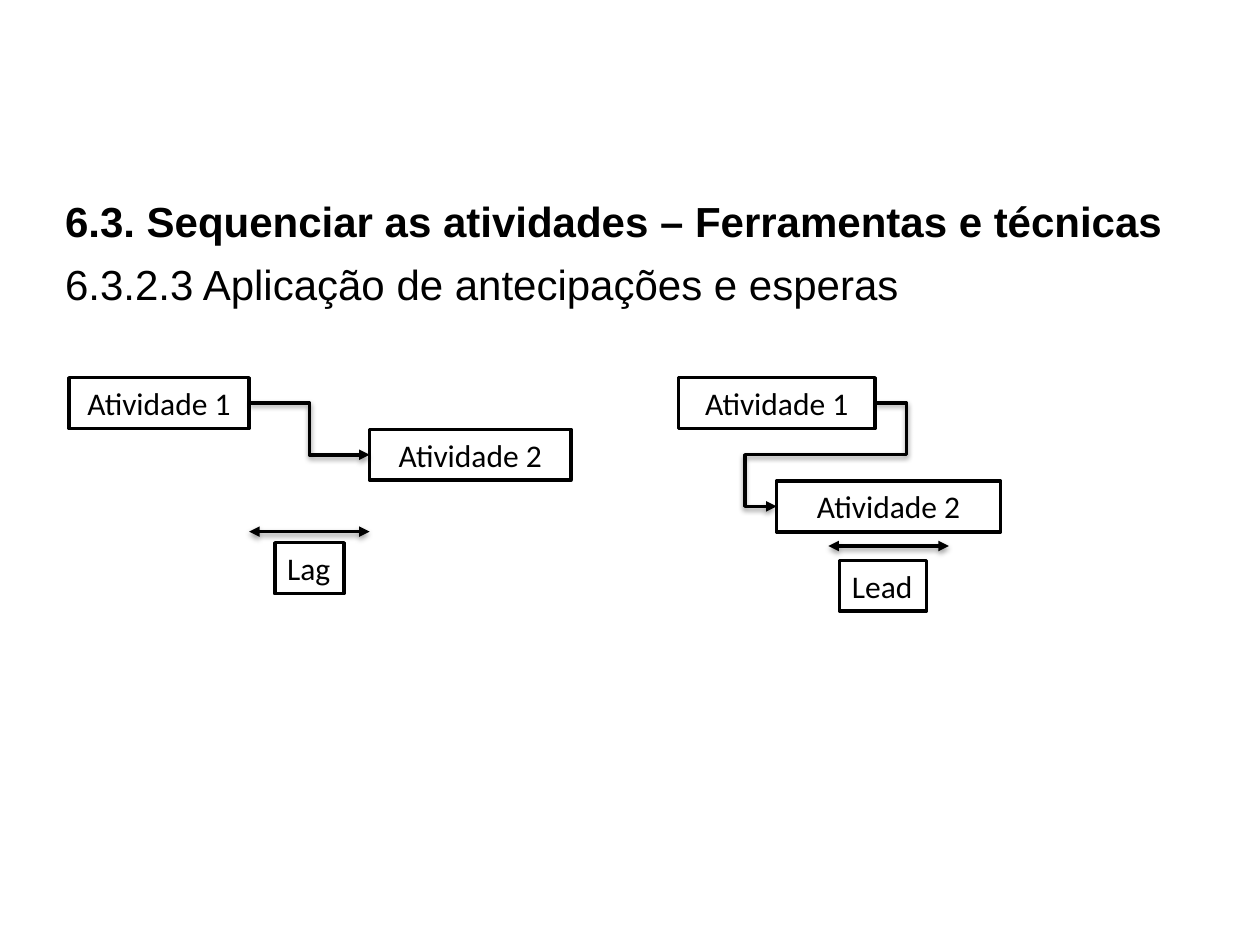
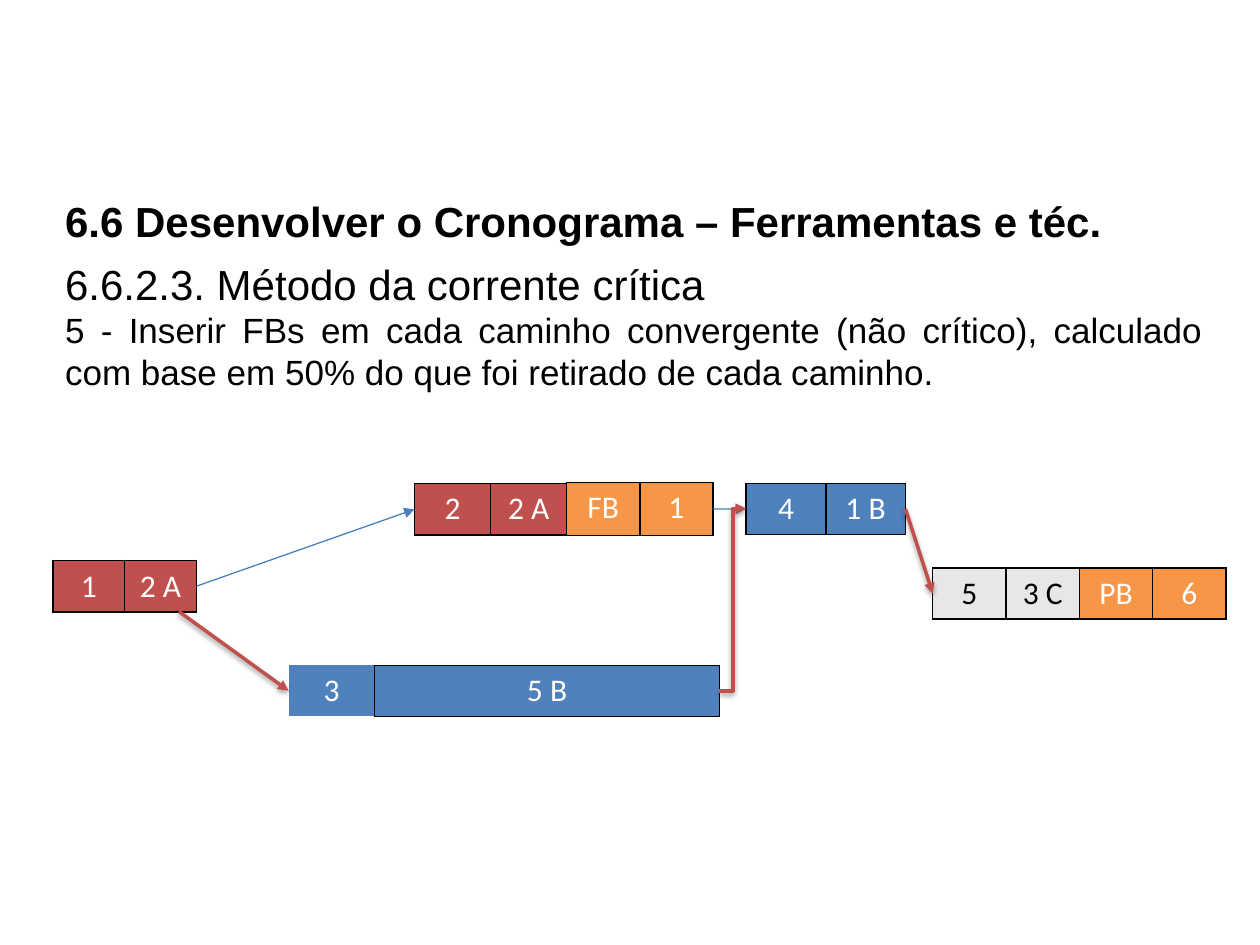
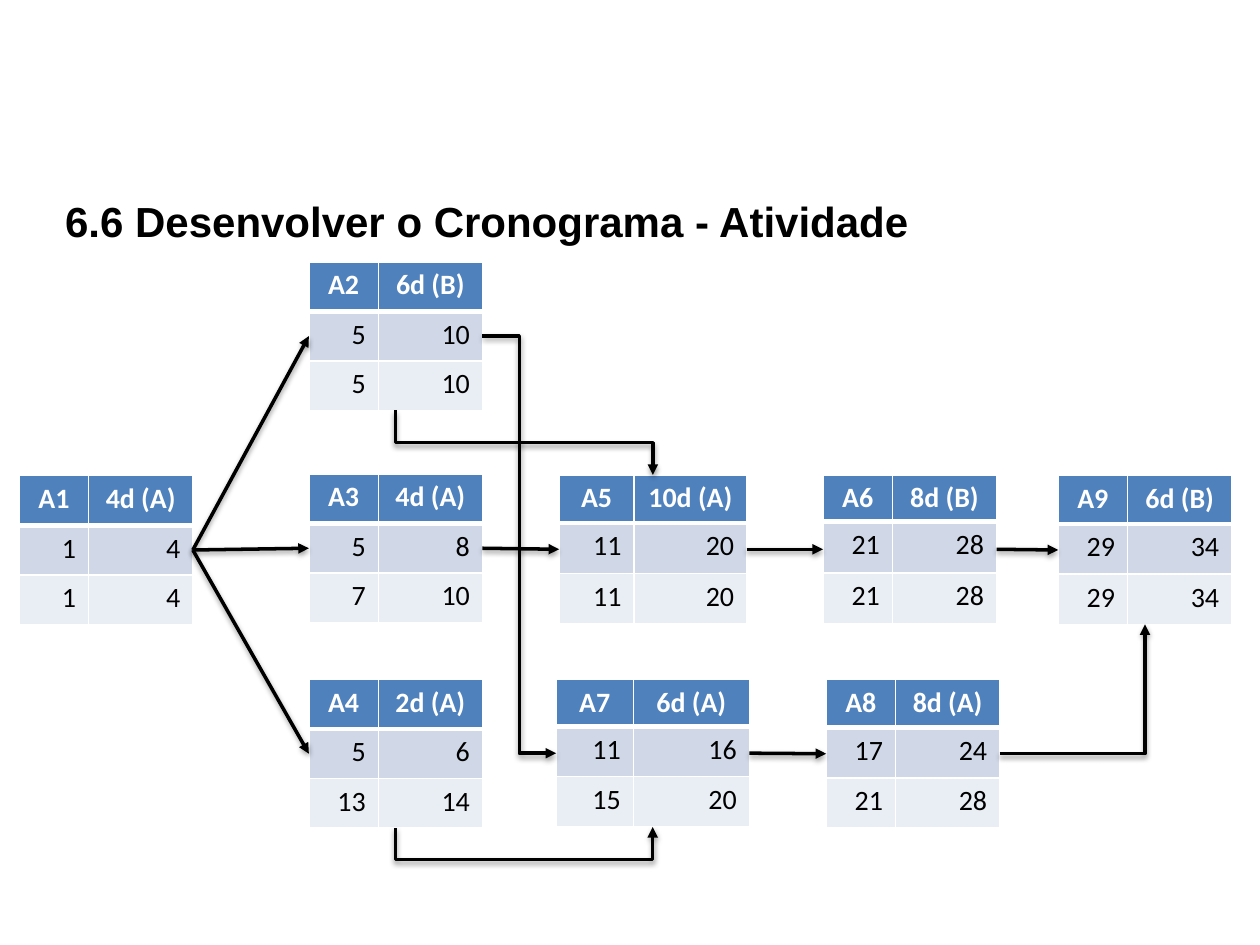
from dataclasses import dataclass

import lxml.etree
import pptx
import pptx.dml.color
import pptx.enum.shapes
import pptx.enum.text
import pptx.oxml
import pptx.oxml.ns
import pptx.util

Pt = pptx.util.Pt
qn = pptx.oxml.ns.qn
ALIGN = pptx.enum.text.PP_ALIGN
ANCHOR = pptx.enum.text.MSO_ANCHOR
CONNECTOR = pptx.enum.shapes.MSO_CONNECTOR
Point = tuple[float, float]


# Theme: colours, fonts and type sizes
@dataclass(frozen=True)
class Theme:
    black: str = "000000"
    white: str = "FFFFFF"
    red: str = "C0504D"
    blue: str = "4F81BD"
    thin_blue: str = "4B7EBC"
    orange: str = "F79646"
    grey: str = "E7E7E7"
    early_row: str = "D0D8E8"
    late_row: str = "E9EDF4"
    heading_font: str = "Arial"
    diagram_font: str = "Calibri"
    title_size: float = 24
    detail_size: float = 20
    label_size: float = 18
    network_size: float = 16


THEME = Theme()


# Repeated elements
@dataclass(frozen=True)
class Area:
    left: float
    top: float
    width: float
    height: float

    @property
    def west(self) -> Point:
        return self.left, self.top + self.height / 2

    @property
    def east(self) -> Point:
        return self.left + self.width, self.top + self.height / 2

    @property
    def north(self) -> Point:
        return self.left + self.width / 2, self.top

    @property
    def south(self) -> Point:
        return self.left + self.width / 2, self.top + self.height


@dataclass(frozen=True)
class Box:
    label: str
    area: Area
    wrap: bool = True


@dataclass(frozen=True)
class Bar:
    area: Area
    labels: tuple[str, str]
    fill: str
    first_share: float = 0.5
    ink: str = THEME.white
    open_start: bool = False


@dataclass(frozen=True)
class Activity:
    area: Area
    name: str
    duration: str
    early: tuple[int, int]
    late: tuple[int, int]
    header: float = 28.3


@dataclass(frozen=True)
class Stroke:
    color: str
    width: float = 2
    shadow: bool = True
    both_ends: bool = False


BLACK_ARROW = Stroke(THEME.black)
SPAN_ARROW = Stroke(THEME.black, both_ends=True)
CRITICAL = Stroke(THEME.red)
FEEDING = Stroke(THEME.thin_blue, 0.75, shadow=False)


def rgb(color: str) -> pptx.dml.color.RGBColor:
    return pptx.dml.color.RGBColor.from_string(color)


def style(paragraph, font: str, size: float, color: str, align, bold: bool = False) -> None:
    paragraph.alignment = align
    paragraph.font.name = font
    paragraph.font.size = Pt(size)
    paragraph.font.bold = bold
    paragraph.font.color.rgb = rgb(color)


def place(shape, area: Area) -> None:
    shape.left, shape.top = Pt(area.left), Pt(area.top)
    shape.width, shape.height = Pt(area.width), Pt(area.height)


# Title and body placeholders
def start_slide(deck, title: str, body: tuple[str, ...] = (), body_height: float = 36):
    slide = deck.slides.add_slide(deck.slide_layouts[1 if body else 5])
    heading = slide.shapes.title
    place(heading, Area(30, 108, 664.6, 36))
    frame = heading.text_frame
    frame.text = title
    frame.word_wrap = True
    frame.auto_size = pptx.enum.text.MSO_AUTO_SIZE.NONE
    frame.vertical_anchor = ANCHOR.MIDDLE
    style(frame.paragraphs[0], THEME.heading_font, THEME.title_size, THEME.black, ALIGN.LEFT, True)
    if body:
        text = slide.placeholders[1]
        place(text, Area(30, 144, 664.6, body_height))
        text.text_frame.text = "\n".join(body)
        text.text_frame.auto_size = pptx.enum.text.MSO_AUTO_SIZE.NONE
        for paragraph, size in zip(text.text_frame.paragraphs, (THEME.title_size, THEME.detail_size)):
            paragraph.space_before = Pt(0)
            properties = paragraph._p.get_or_add_pPr()
            properties.set("marL", "0")
            properties.set("indent", "0")
            lxml.etree.SubElement(properties, qn("a:buNone"))
            style(paragraph, THEME.heading_font, size, THEME.black, ALIGN.JUSTIFY)
    return slide


# Connectors
def finish_line(line, stroke: Stroke) -> None:
    line.line.color.rgb = rgb(stroke.color)
    line.line.width = Pt(stroke.width)
    ends = ("a:headEnd", "a:tailEnd") if stroke.both_ends else ("a:tailEnd",)
    for end in ends:
        lxml.etree.SubElement(line.line._get_or_add_ln(), qn(end), type="triangle")
    effects = lxml.etree.SubElement(line._element.spPr, qn("a:effectLst"))
    if stroke.shadow:
        shadow = lxml.etree.SubElement(
            effects, qn("a:outerShdw"), blurRad=str(Pt(3.1)), dist=str(Pt(1.6)),
            dir="5400000", rotWithShape="0")
        color = lxml.etree.SubElement(shadow, qn("a:srgbClr"), val=THEME.black)
        lxml.etree.SubElement(color, qn("a:alpha"), val="38000")


def connect(slide, start: Point, end: Point, stroke: Stroke, kind=CONNECTOR.STRAIGHT):
    line = slide.shapes.add_connector(kind, *(Pt(value) for value in (*start, *end)))
    finish_line(line, stroke)
    return line


def bend(slide, start: Point, end: Point, stroke: Stroke,
         preset: str = "bentConnector3", turns: tuple[float, ...] = ()):
    line = connect(slide, start, end, stroke, CONNECTOR.ELBOW)
    geometry = line._element.spPr.find(qn("a:prstGeom"))
    geometry.set("prst", preset)
    guides = geometry.find(qn("a:avLst"))
    for number, turn in enumerate(turns, 1):
        lxml.etree.SubElement(guides, qn("a:gd"), name=f"adj{number}",
                              fmla=f"val {round(turn * 100000)}")
    return line


def bend_down(slide, start: Point, end: Point, stroke: Stroke, drop: float) -> None:
    """Leave downwards by drop, cross over, then meet the end vertically."""
    across, down = end[0] - start[0], end[1] - start[1]
    x, y = (start[0] + end[0]) / 2, (start[1] + end[1]) / 2
    line = bend(slide, (x - down / 2, y + across / 2), (x + down / 2, y - across / 2),
                stroke, turns=(drop / down,))
    line._element.spPr.find(qn("a:xfrm")).set("rot", "5400000")


# Boxes and tables
def draw_box(slide, box: Box) -> None:
    shape = slide.shapes.add_shape(pptx.enum.shapes.MSO_SHAPE.RECTANGLE, 0, 0, 0, 0)
    place(shape, box.area)
    shape.shadow.inherit = False
    shape.fill.solid()
    shape.fill.fore_color.rgb = rgb(THEME.white)
    shape.line.color.rgb = rgb(THEME.black)
    shape.line.width = Pt(2)
    shape.text_frame.text = box.label
    shape.text_frame.word_wrap = box.wrap
    style(shape.text_frame.paragraphs[0], THEME.diagram_font, THEME.label_size, THEME.black,
          ALIGN.CENTER if box.wrap else ALIGN.LEFT)


def add_grid(slide, area: Area, first_share: float, heights: tuple[float, ...]):
    table = slide.shapes.add_table(
        len(heights), 2, Pt(area.left), Pt(area.top), Pt(area.width), Pt(area.height)).table
    table.first_row = table.horz_banding = False
    for column, share in zip(table.columns, (first_share, 1 - first_share)):
        column.width = Pt(area.width * share)
    for row, height in zip(table.rows, heights):
        row.height = Pt(height)
    return table


def fill_cell(cell, text: str, fill: str, ink: str, size: float, align, border: str,
              bold: bool = False, bottom: float = 1, sides: str = "LRTB") -> None:
    cell.text = text
    style(cell.text_frame.paragraphs[0], THEME.diagram_font, size, ink, align, bold)
    properties = cell._tc.get_or_add_tcPr()
    for side in "LRTB":
        width = bottom if side == "B" else 1
        edge = lxml.etree.SubElement(properties, qn(f"a:ln{side}"), w=str(Pt(width)))
        if side in sides:
            paint = lxml.etree.SubElement(edge, qn("a:solidFill"))
            lxml.etree.SubElement(paint, qn("a:srgbClr"), val=border)
        else:
            lxml.etree.SubElement(edge, qn("a:noFill"))
    cell.fill.solid()
    cell.fill.fore_color.rgb = rgb(fill)


def draw_bar(slide, bar: Bar) -> None:
    table = add_grid(slide, bar.area, bar.first_share, (bar.area.height,))
    for column, label in enumerate(bar.labels):
        sides = "R" if bar.open_start and column == 0 else "LRTB"
        fill_cell(table.cell(0, column), label, bar.fill, bar.ink, THEME.label_size,
                  ALIGN.CENTER, THEME.black, sides=sides)


def draw_activity(slide, activity: Activity) -> None:
    row_height = (activity.area.height - activity.header) / 2
    table = add_grid(slide, activity.area, 0.4, (activity.header, row_height, row_height))
    table.first_row = True
    rows = ((activity.name, activity.duration), activity.early, activity.late)
    fills = (THEME.blue, THEME.early_row, THEME.late_row)
    for row, (values, fill) in enumerate(zip(rows, fills)):
        header = row == 0
        for column, value in enumerate(values):
            fill_cell(table.cell(row, column), str(value), fill,
                      THEME.white if header else THEME.black, THEME.network_size,
                      ALIGN.CENTER if header else ALIGN.RIGHT, THEME.white,
                      bold=header, bottom=3 if header else 1)


# Slide 1: leads and lags
def leads_and_lags(deck) -> None:
    slide = start_slide(deck, "6.3. Sequenciar as atividades – Ferramentas e técnicas",
                        ("6.3.2.3 Aplicação de antecipações e esperas",))
    height = 29.1
    lag_first = Box("Atividade 1", Area(39.4, 215.8, 103, height))
    lag_second = Box("Atividade 2", Area(211.2, 245.3, 115, height))
    lag = Box("Lag", Area(157, 310.1, 39.6, height), wrap=False)
    lead_first = Box("Atividade 1", Area(387.8, 215.8, 112.2, height))
    lead_second = Box("Atividade 2", Area(443.8, 274.8, 128, height))
    lead = Box("Lead", Area(479.8, 320.2, 49.6, height), wrap=False)
    for box in (lag_first, lag_second, lag, lead_first, lead_second, lead):
        draw_box(slide, box)
    bend(slide, lag_first.area.east, lag_second.area.west, BLACK_ARROW)
    bend(slide, lead_first.area.east, lead_second.area.west, BLACK_ARROW,
         "bentConnector5", (-0.32, 0.5, 1.32))
    for left, y in ((142.4, 303.8), (473.4, 312)):
        connect(slide, (left, y), (left + 68.8, y), SPAN_ARROW)


# Slide 2: critical chain with buffers
def critical_chain(deck) -> None:
    slide = start_slide(
        deck, "6.6 Desenvolver o Cronograma – Ferramentas e téc.",
        ("6.6.2.3. Método da corrente crítica",
         "5 - Inserir FBs em cada caminho convergente (não crítico), calculado com base em "
         "50% do que foi retirado de cada caminho."), 85)
    height = 29.1
    first = Bar(Area(30.2, 320.4, 82.1, height), ("1", "2 A"), THEME.red)
    second = Bar(Area(236.9, 276.3, 87, 29.5), ("2", "2 A"), THEME.red)
    third = Bar(Area(164.9, 380.2, 246.2, height), ("3", "5 B"), THEME.blue, 0.2, open_start=True)
    fourth = Bar(Area(426.4, 276.2, 91, height), ("4", "1 B"), THEME.blue)
    fifth = Bar(Area(533, 324.6, 83.8, height), ("5", "3 C"), THEME.grey, ink=THEME.black)
    project_buffer = Bar(Area(616.8, 324.6, 83.8, height), ("PB", "6"), THEME.orange)
    feeding_buffer = Bar(Area(323.8, 275.8, 83.7, 30.2), ("FB", "1"), THEME.orange)
    for bar in (first, second, fourth, fifth, third, project_buffer, feeding_buffer):
        draw_bar(slide, bar)
    connect(slide, first.area.east, second.area.west, FEEDING)
    connect(slide, feeding_buffer.area.east, fourth.area.west, FEEDING)
    connect(slide, (102.2, 349.4), third.area.west, CRITICAL)
    connect(slide, fourth.area.east, fifth.area.west, CRITICAL)
    bend(slide, third.area.east, fourth.area.west, CRITICAL)


# Slide 3: activity network
def activity_network(deck) -> None:
    slide = start_slide(deck, "6.6 Desenvolver o Cronograma - Atividade")
    width, height = 99.2, 85
    a1 = Activity(Area(11, 271.8, width, height), "A1", "4d (A)", (1, 4), (1, 4))
    a2 = Activity(Area(176.5, 149.6, width, height), "A2", "6d (B)", (5, 10), (5, 10))
    a3 = Activity(Area(176.5, 270.8, width, height), "A3", "4d (A)", (5, 8), (7, 10))
    a4 = Activity(Area(176.5, 388.2, width, height), "A4", "2d (A)", (5, 6), (13, 14))
    a5 = Activity(Area(319.5, 271.4, 107.2, height), "A5", "10d (A)", (11, 20), (11, 20), 27.4)
    a6 = Activity(Area(470.3, 271.4, width, height), "A6", "8d (B)", (21, 28), (21, 28), 26.7)
    a7 = Activity(Area(317.8, 388.2, 110.4, 84.4), "A7", "6d (A)", (11, 16), (15, 20), 26.7)
    a8 = Activity(Area(472.1, 388.2, width, height), "A8", "8d (A)", (17, 24), (21, 28), 27.6)
    a9 = Activity(Area(604.7, 271.8, width, height), "A9", "6d (B)", (29, 34), (29, 34), 27.6)
    for activity in (a1, a2, a3, a4, a5, a6, a7, a8, a9):
        draw_activity(slide, activity)
    for before, after in ((a1, a2), (a1, a3), (a1, a4), (a6, a9), (a7, a8), (a5, a6), (a3, a5)):
        connect(slide, before.area.east, after.area.west, BLACK_ARROW)
    bend(slide, a2.area.east, a7.area.west, BLACK_ARROW)
    bend_down(slide, a4.area.south, a7.area.south, BLACK_ARROW, 18)
    bend_down(slide, a2.area.south, a5.area.north, BLACK_ARROW, 18.4)
    bend(slide, a8.area.east, a9.area.south, BLACK_ARROW, "bentConnector2")


def main() -> None:
    deck = pptx.Presentation()
    deck.slide_width, deck.slide_height = Pt(720), Pt(540)
    leads_and_lags(deck)
    critical_chain(deck)
    activity_network(deck)
    deck.save("out.pptx")


if __name__ == "__main__":
    main()
